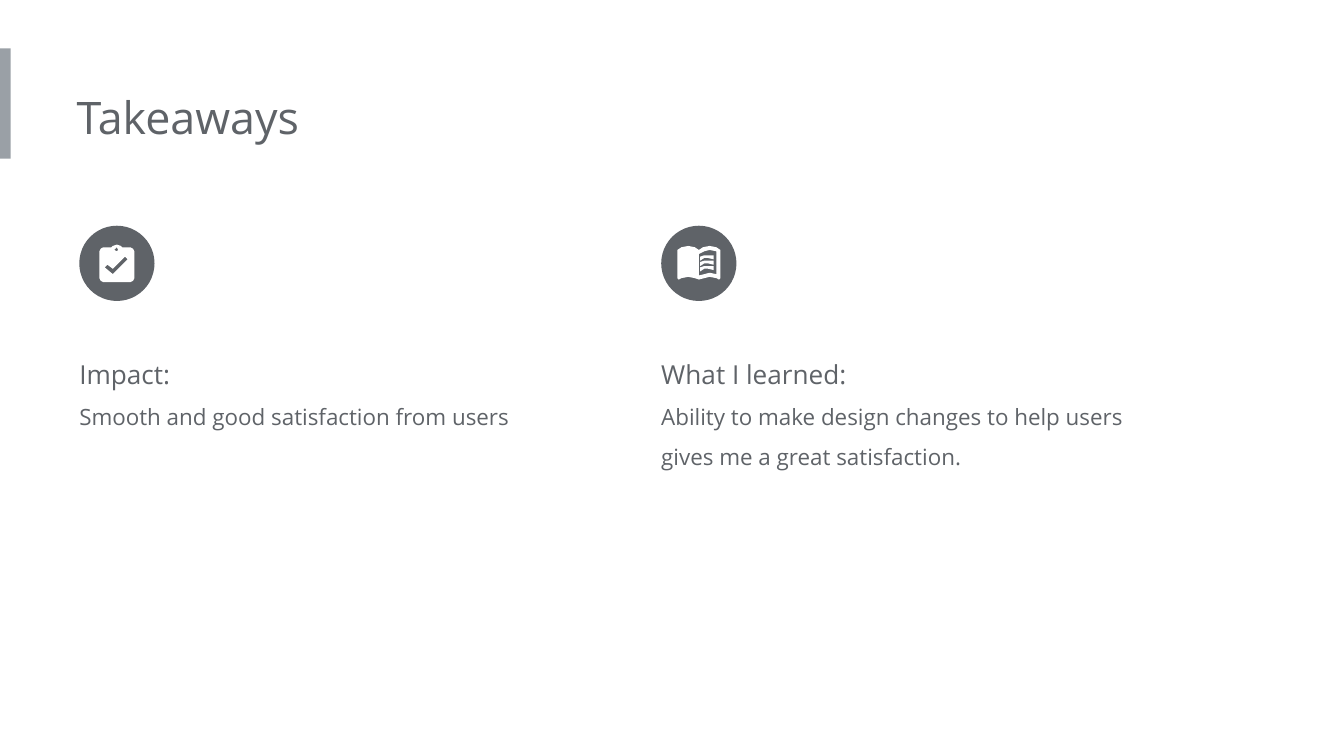
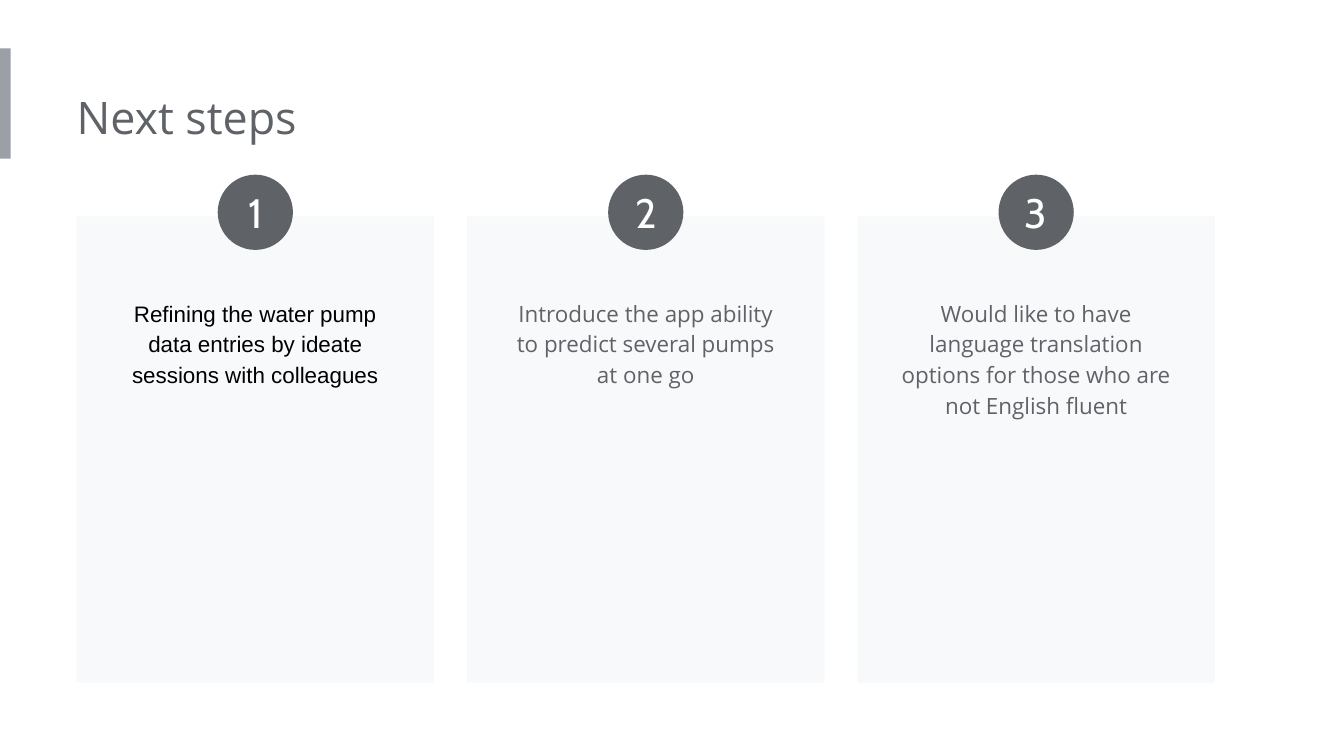
from dataclasses import dataclass

from pptx import Presentation
from pptx.dml.color import RGBColor
from pptx.enum.shapes import MSO_SHAPE
from pptx.enum.text import MSO_ANCHOR, MSO_AUTO_SIZE, PP_ALIGN
from pptx.util import Inches, Pt


@dataclass(frozen=True)
class Theme:
    """Colours, fonts and type sizes shared by the slides."""
    ink: str = "5F6368"
    accent: str = "9AA0A6"
    card: str = "F8F9FA"
    white: str = "FFFFFF"
    black: str = "000000"
    body_font: str = "Open Sans"
    plain_font: str = "Arial"
    number_font: str = "Cabin"
    title_size: int = 24
    number_size: int = 22
    heading_size: int = 14
    body_size: int = 12


BADGE = 0.56
MARGIN = 0.57

CLIPBOARD = [
    [(0.38, 0.16), (0.32, 0.16), (0.31, 0.15), (0.28, 0.14), (0.25, 0.15), (0.24, 0.16),
     (0.18, 0.16), (0.16, 0.17), (0.15, 0.19), (0.15, 0.39), (0.16, 0.41), (0.18, 0.42),
     (0.38, 0.42), (0.40, 0.41), (0.41, 0.39), (0.41, 0.19), (0.40, 0.17)],
    [(0.28, 0.16), (0.29, 0.18), (0.28, 0.19), (0.26, 0.18)],
    [(0.25, 0.36), (0.19, 0.31), (0.21, 0.29), (0.25, 0.32), (0.34, 0.23), (0.36, 0.25)],
]
BOOK = [
    [(0.12, 0.18), (0.15, 0.16), (0.20, 0.15), (0.25, 0.16), (0.28, 0.18), (0.31, 0.16),
     (0.36, 0.15), (0.41, 0.16), (0.44, 0.18), (0.44, 0.39), (0.43, 0.40), (0.41, 0.39),
     (0.36, 0.38), (0.32, 0.39), (0.28, 0.40), (0.25, 0.39), (0.20, 0.38), (0.15, 0.39),
     (0.13, 0.40), (0.12, 0.39)],
    [(0.28, 0.21), (0.32, 0.19), (0.36, 0.18), (0.41, 0.19), (0.41, 0.36), (0.36, 0.35),
     (0.32, 0.36), (0.28, 0.37)],
]
PAGE_LINE = [(0.29, 0.23), (0.32, 0.22), (0.35, 0.22), (0.39, 0.22), (0.39, 0.25),
             (0.35, 0.24), (0.32, 0.24), (0.29, 0.26)]
PAGE_LINES = [[[(x, y + 0.04 * row) for x, y in PAGE_LINE]] for row in range(3)]


class Deck:
    """Holds the theme and the current slide, and draws each kind of element."""

    def __init__(self, theme):
        """Start an empty widescreen presentation."""
        self.theme = theme
        self.presentation = Presentation()
        self.presentation.slide_width = Inches(10)
        self.presentation.slide_height = Inches(10 * 9 / 16)
        self.slide = None

    def start_slide(self, title):
        """Add a slide with the side band and its title."""
        self.slide = self.presentation.slides.add_slide(self.presentation.slide_layouts[6])
        self.shape(MSO_SHAPE.RECTANGLE, 0, 0.36, 0.08, 0.82, self.theme.accent)
        self.text(MARGIN, 0.57, 5.39, 0.61, [(title, self.theme.title_size)])

    def paint(self, shape, color):
        """Give a shape a flat fill without line or shadow."""
        shape.shadow.inherit = False
        shape.fill.solid()
        shape.fill.fore_color.rgb = RGBColor.from_string(color)
        shape.line.fill.background()

    def shape(self, kind, left, top, width, height, color):
        """Draw a flat preset shape."""
        shape = self.slide.shapes.add_shape(
            kind, Inches(left), Inches(top), Inches(width), Inches(height))
        self.paint(shape, color)
        return shape

    def run(self, paragraph, text, size, font, color):
        """Add one styled run to a paragraph."""
        run = paragraph.add_run()
        run.text = text
        run.font.size = Pt(size)
        run.font.name = font
        run.font.color.rgb = RGBColor.from_string(color)

    def text(self, left, top, width, height, lines, spacing=1.0, inset=0,
             align=PP_ALIGN.LEFT, font=None, color=None):
        """Draw a wrapping text box with one paragraph per (text, size) pair."""
        frame = self.slide.shapes.add_textbox(
            Inches(left), Inches(top), Inches(width), Inches(height)).text_frame
        frame.word_wrap = True
        frame.auto_size = MSO_AUTO_SIZE.SHAPE_TO_FIT_TEXT
        frame.margin_left = Inches(inset)
        frame.margin_right = frame.margin_top = frame.margin_bottom = Inches(0.1)
        for index, (words, size) in enumerate(lines):
            paragraph = frame.add_paragraph() if index else frame.paragraphs[0]
            paragraph.alignment = align
            paragraph.line_spacing = spacing
            self.run(paragraph, words, size, font or self.theme.body_font,
                     color or self.theme.ink)

    def badge(self, left, top, number=None):
        """Draw a dark disc, with a number if given."""
        disc = self.shape(MSO_SHAPE.OVAL, left, top, BADGE, BADGE, self.theme.ink)
        if number is None:
            return
        frame = disc.text_frame
        frame.margin_left = frame.margin_right = frame.margin_top = frame.margin_bottom = 0
        frame.vertical_anchor = MSO_ANCHOR.MIDDLE
        frame.paragraphs[0].alignment = PP_ALIGN.CENTER
        self.run(frame.paragraphs[0], str(number), self.theme.number_size,
                 self.theme.number_font, self.theme.white)

    def outline(self, left, top, contours):
        """Draw a white freeform from contours measured from a badge corner."""
        placed = [[(Inches(left + x), Inches(top + y)) for x, y in contour]
                  for contour in contours]
        builder = self.slide.shapes.build_freeform(*placed[0][0])
        for index, contour in enumerate(placed):
            if index:
                builder.move_to(*contour[0])
            builder.add_line_segments(contour[1:], close=True)
        self.paint(builder.convert_to_shape(), self.theme.white)

    def takeaway(self, left, heading, body, height, icon):
        """Draw an icon badge above a heading and its text."""
        top = 1.68
        self.text(left, 2.45, 3.77, height,
                  [(heading, self.theme.heading_size), (body, self.theme.body_size)],
                  spacing=1.5)
        self.badge(left, top)
        for contours in icon:
            self.outline(left, top, contours)

    def step(self, left, width, number, body, height, font, color):
        """Draw a numbered card."""
        self.shape(MSO_SHAPE.RECTANGLE, left, 1.61, width, 3.47, self.theme.card)
        self.text(left + 0.21, 2.1, width - 0.42, height, [(body, self.theme.body_size)],
                  spacing=1.15, inset=0.1, align=PP_ALIGN.CENTER, font=font, color=color)
        self.badge(left + (width - BADGE) / 2, 1.3, number)


def main():
    """Build both slides and save them."""
    theme = Theme()
    deck = Deck(theme)

    deck.start_slide("Takeaways")
    deck.takeaway(0.59, "Impact:", "Smooth and good satisfaction from users", 0.86, [CLIPBOARD])
    deck.takeaway(4.92, "What I learned:",
                  "Ability to make design changes to help users gives me a great satisfaction.",
                  1.16, [BOOK, *PAGE_LINES])

    deck.start_slide("Next steps")
    steps = [
        ("Refining the water pump data entries by ideate sessions with colleagues",
         0.9, theme.plain_font, theme.black),
        ("Introduce the app ability to predict several pumps at one go",
         0.9, theme.body_font, theme.ink),
        ("Would like to have language translation options for those who are not English fluent",
         1.13, theme.body_font, theme.ink),
    ]
    row_width, card_width = 8.47, 2.66
    pitch = (row_width - card_width) / (len(steps) - 1)
    for index, step in enumerate(steps):
        deck.step(MARGIN + index * pitch, card_width, index + 1, *step)

    deck.presentation.save("out.pptx")


if __name__ == "__main__":
    main()
